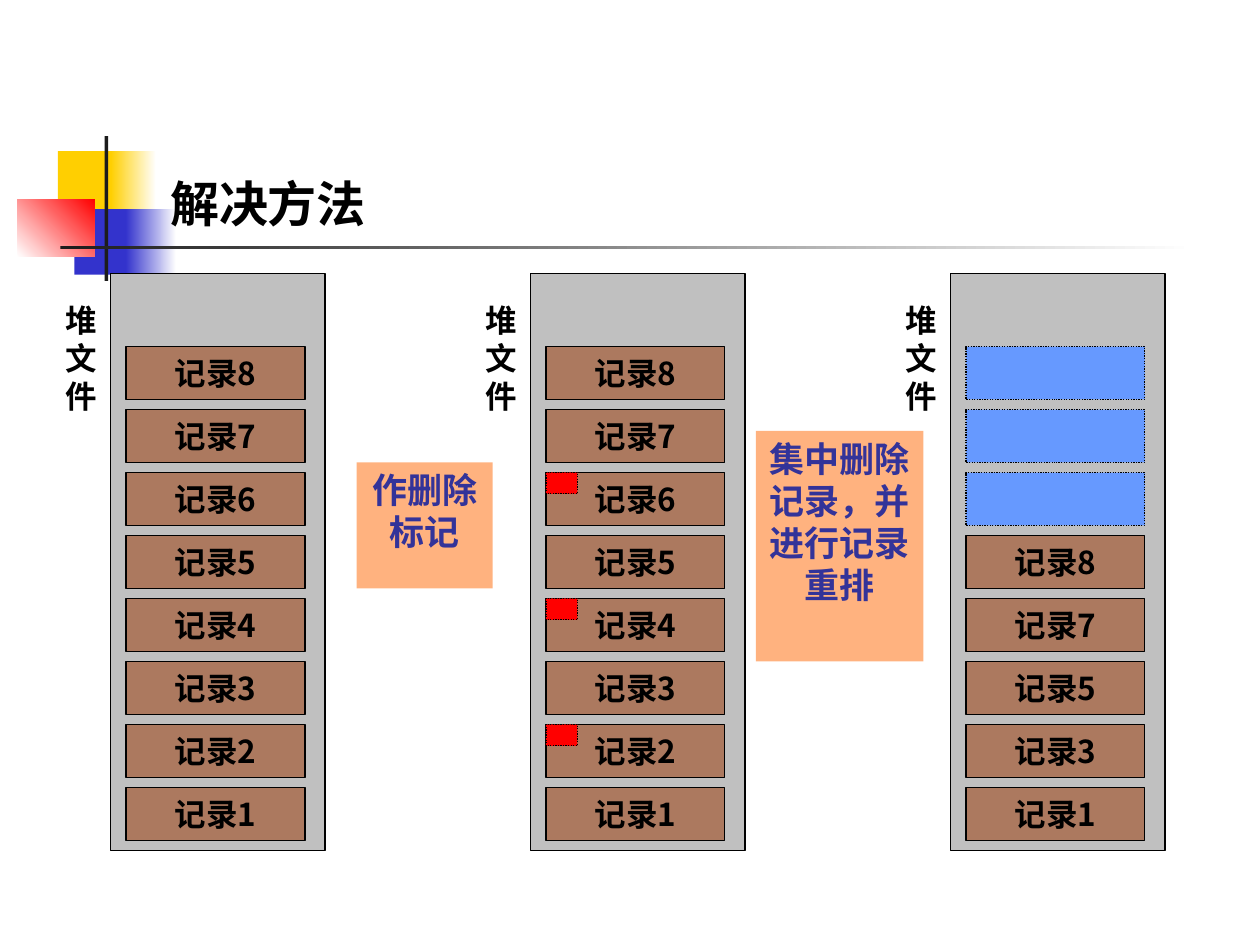
"""Build the slide on deleting records from a heap file."""
from lxml import etree
from pptx import Presentation, util as u
from pptx.dml.color import RGBColor
from pptx.enum import dml, shapes, text
from pptx.oxml.ns import qn

CJK, SERIF = "Noto Sans CJK SC", "Times New Roman"
COLORS = {
    "yellow": "FFCF01", "blue": "3333CC", "red": "FF0000", "dark": "1C1C1C",
    "white": "FFFFFF", "black": "000000", "file": "C0C0C0", "record": "993300",
    "free": "6699FF", "step": "FF6600", "step_text": "333399",
}
TITLE = "解决方法"
FILE_LABEL = "堆文件"
ORNAMENTS = [
    ((0.46, 1.2, 0.48, 0.52), ("yellow",), 0),
    ((0.88, 1.2, 0.36, 0.52), ("yellow", "white"), 0),
    ((0.59, 1.66, 0.46, 0.52), ("blue",), 0),
    ((1, 1.66, 0.4, 0.52), ("blue", "white"), 0),
    ((0.14, 1.58, 0.61, 0.46), ("white", "red"), 45),
    ((0.83, 1.08, 0.03, 1.15), ("dark",), 0),
    ((0.48, 1.95, 9, 0.03), ("dark", "white"), 0),
]
HEAP_FILES = [
    {"records": [1, 2, 3, 4, 5, 6, 7, 8], "deleted": []},
    {"records": [1, 2, 3, 4, 5, 6, 7, 8], "deleted": [2, 4, 6]},
    {"records": [1, 3, 5, 7, 8], "deleted": []},
]
STEPS = [
    ("作删除标记", (2.83, 3.67, 1.08, 1)),
    ("集中删除记录，并进行记录重排", (6, 3.42, 1.33, 1.83)),
]
SLOTS, SLOT_PITCH, BOTTOM_SLOT = 8, 0.5, 6.25
FILE_LEFT, FILE_PITCH = 0.88, 3.333


def rgb(name):
    return RGBColor.from_string(COLORS[name])


def add_box(parent, box, color, line=None, dash=None, alpha=None):
    shape = parent.shapes.add_shape(shapes.MSO_SHAPE.RECTANGLE, *map(u.Inches, box))
    shape.shadow.inherit = False
    shape.fill.solid()
    shape.fill.fore_color.rgb = rgb(color)
    if alpha:
        fill = shape._element.spPr.find(qn("a:solidFill"))
        etree.SubElement(fill[0], qn("a:alpha"), val=str(alpha * 1000))
    if line:
        shape.line.color.rgb = rgb(line)
        shape.line.width = u.Pt(0.75)
        shape.line.dash_style = dash
    else:
        shape.line.fill.background()
    return shape


def write(shape, words, size, color="black", font=CJK,
          align=text.PP_ALIGN.CENTER, anchor=text.MSO_ANCHOR.TOP):
    frame = shape.text_frame
    frame.text = words
    frame.word_wrap = True
    frame.vertical_anchor = anchor
    paragraph = frame.paragraphs[0]
    paragraph.alignment = align
    run = paragraph.runs[0]
    run.font.size, run.font.bold, run.font.name = u.Pt(size), True, font
    run.font.color.rgb = rgb(color)
    etree.SubElement(run._r.get_or_add_rPr(), qn("a:ea"), typeface=CJK)


def add_ornament(slide, box, colors, angle):
    shape = add_box(slide, box, colors[0])
    if len(colors) == 2:
        shape.fill.gradient()
        shape.fill.gradient_angle = angle
        for stop, color in zip(shape.fill.gradient_stops, colors):
            stop.color.rgb = rgb(color)


def add_heap_file(slide, left, records, deleted):
    group = slide.shapes.add_group_shape()
    add_box(group, (left, 2.17, 1.7, 4.58), "file", "black")
    label = group.shapes.add_textbox(*map(u.Inches, (left - 0.46, 2.34, 0.46, 1.41)))
    write(label, FILE_LABEL, 18, font=SERIF, align=text.PP_ALIGN.JUSTIFY)
    for slot in range(SLOTS):
        corner = (left + 0.12, BOTTOM_SLOT - slot * SLOT_PITCH)
        box = (*corner, 1.42, 0.42)
        if slot >= len(records):
            add_box(group, box, "free", "black", dml.MSO_LINE.ROUND_DOT)
            continue
        record = add_box(group, box, "record", "black", alpha=50)
        write(record, f"记录{records[slot]}", 18, anchor=text.MSO_ANCHOR.MIDDLE)
        if records[slot] in deleted:
            add_box(group, (*corner, 0.25, 0.17), "red", "black", dml.MSO_LINE.ROUND_DOT)


def main():
    presentation = Presentation()
    presentation.slide_width, presentation.slide_height = u.Inches(10), u.Inches(7.5)
    slide = presentation.slides.add_slide(presentation.slide_layouts[5])
    for ornament in ORNAMENTS:
        add_ornament(slide, *ornament)
    for index, heap_file in enumerate(HEAP_FILES):
        add_heap_file(slide, FILE_LEFT + index * FILE_PITCH, **heap_file)
    for words, box in STEPS:
        write(add_box(slide, box, "step", alpha=50), words, 20, "step_text")
    title = slide.shapes.title
    title.left, title.top, title.width, title.height = map(u.Inches, (1.25, 1.33, 2.92, 0.57))
    write(title, TITLE, 28, font=SERIF, align=text.PP_ALIGN.LEFT)
    slide.shapes._spTree.append(title._element)
    presentation.save("out.pptx")


if __name__ == "__main__":
    main()
